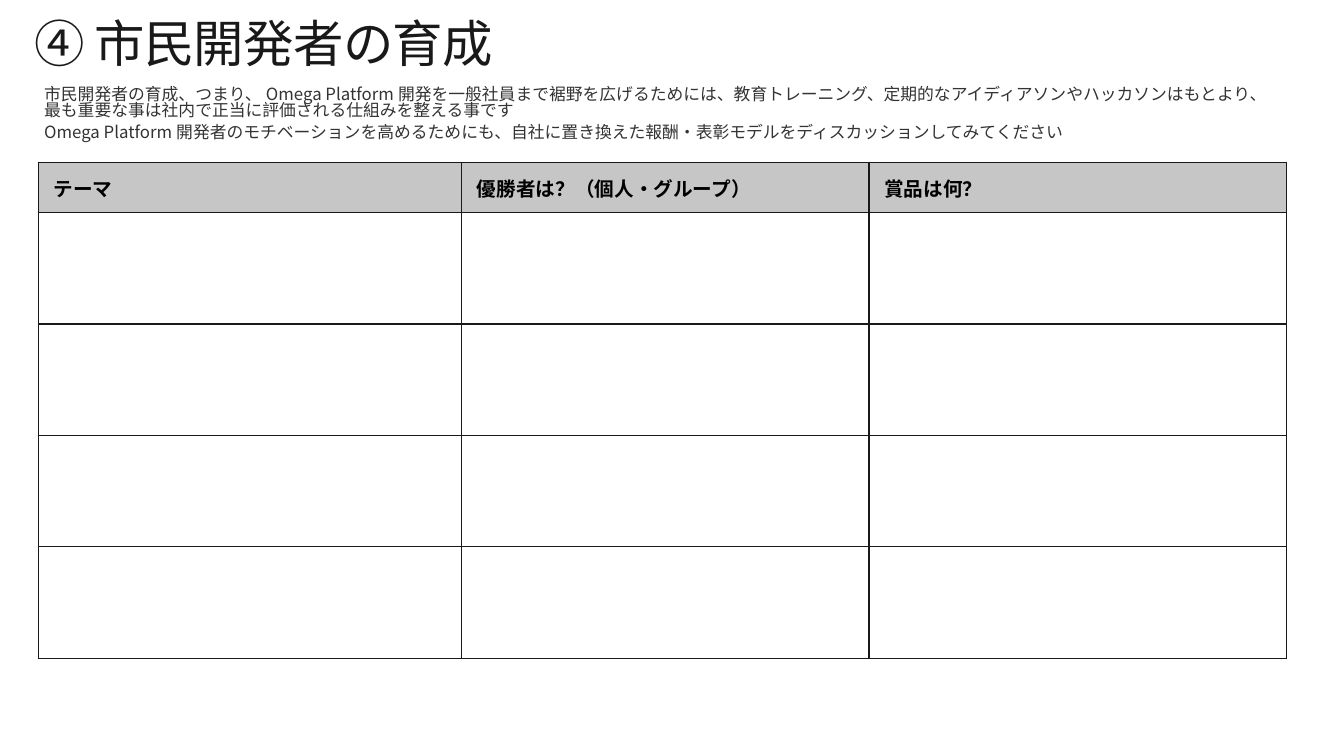
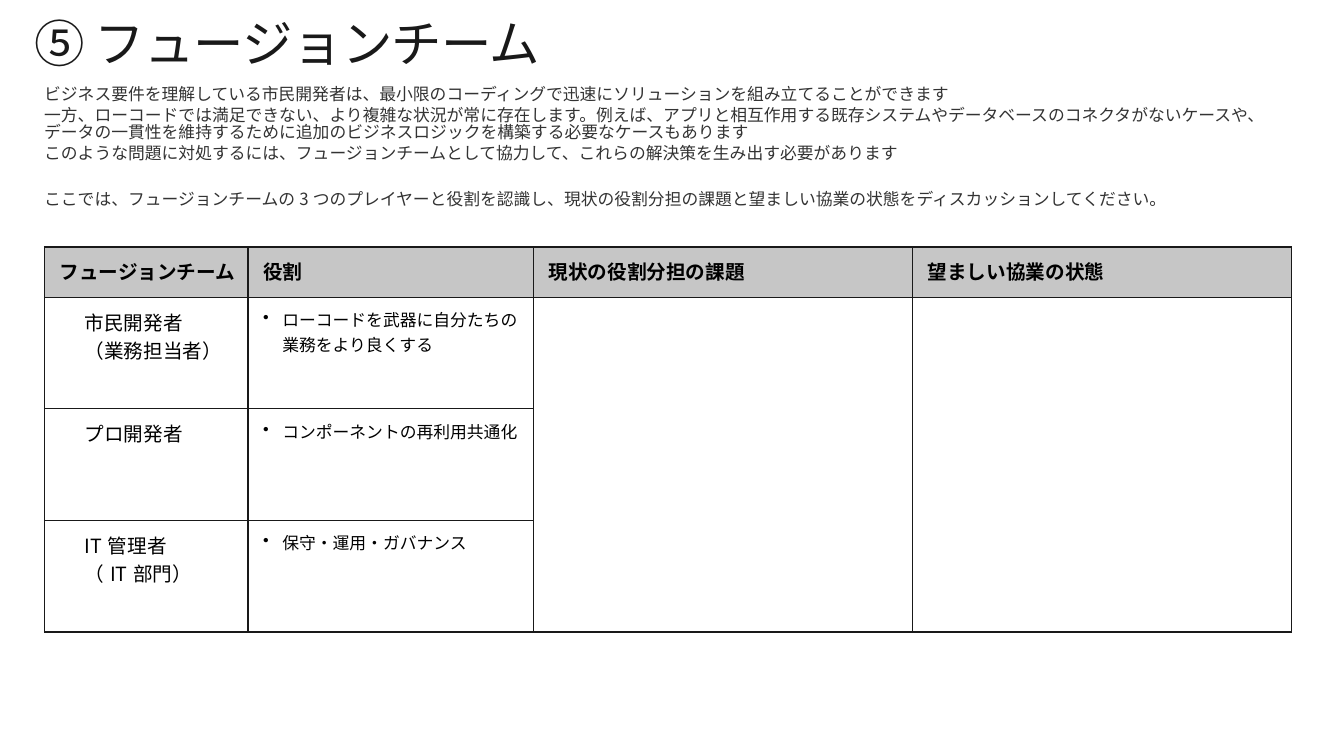
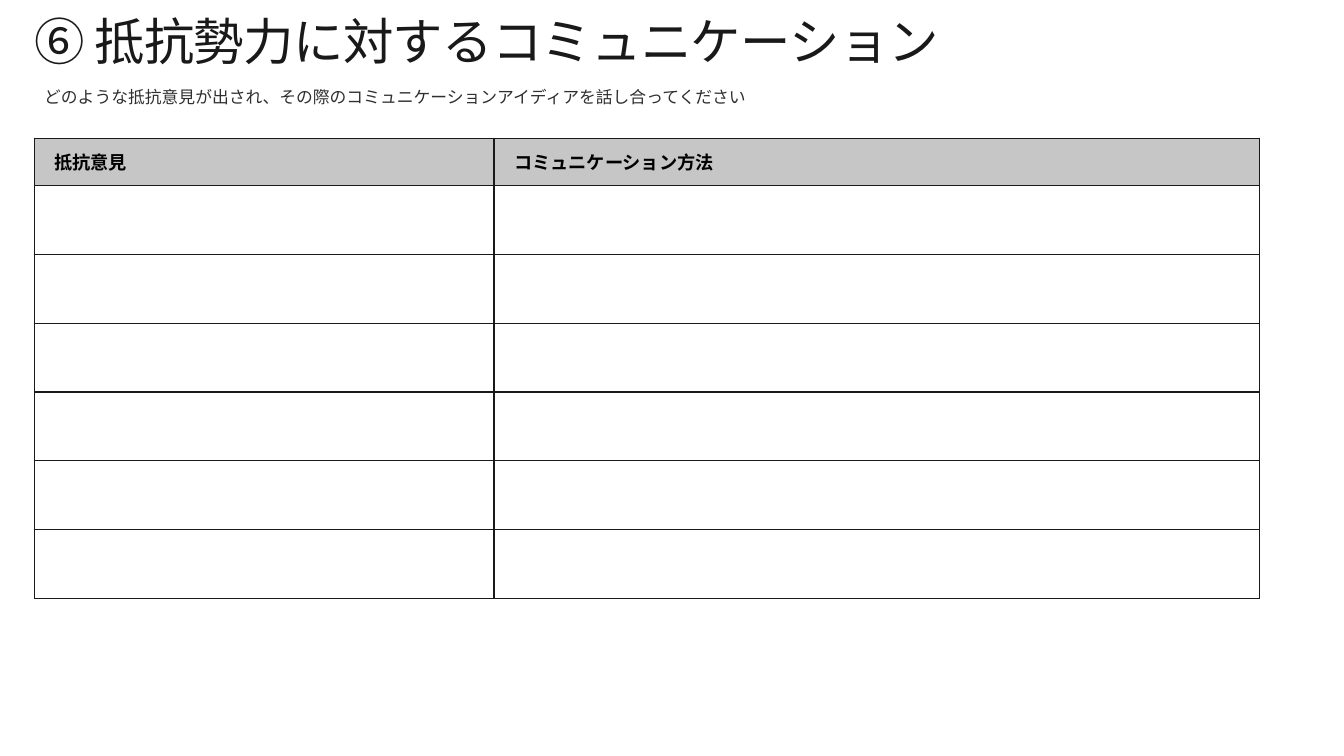
from lxml.etree import SubElement
from pptx import Presentation
from pptx.dml.color import RGBColor
from pptx.enum.text import MSO_ANCHOR
from pptx.oxml.ns import qn
from pptx.util import Inches, Pt

FONT = "Noto Sans CJK JP"
COLORS = {"ink": "191919", "body": "333333", "soft": "2F2F2F",
          "black": "000000", "head": "C6C6C6"}
TIGHT = 0.83
INTRO_GAP = 3.3
HEAD_INSETS = (0.15, 0.1, 0.1, 0.1)
LABEL_INSETS = (0.4, 0.1, 0.1, 0.1)


def color(name):
    """Return the named palette colour."""
    return RGBColor.from_string(COLORS[name])


def add_text(p, text, size, ink, bold=False):
    """Add one styled run to a paragraph."""
    r = p.add_run()
    r.text = text
    r.font.size, r.font.bold, r.font.name = Pt(size), bold, FONT
    r.font.color.rgb = color(ink)
    SubElement(r.font._element, qn("a:ea"), typeface=FONT)
    return r


def paragraphs(tf, texts):
    """Yield a paragraph of the frame for each text."""
    for i, text in enumerate(texts):
        yield (tf.add_paragraph() if i else tf.paragraphs[0]), text


def add_box(s, box, inset):
    """Add a wrapping text box and return its frame."""
    tf = s.shapes.add_textbox(*map(Inches, box)).text_frame
    tf.word_wrap = True
    tf.margin_left = tf.margin_top = tf.margin_right = tf.margin_bottom = Inches(inset)
    return tf


def add_title(s, text, top=0.22):
    """Add the large slide title."""
    p = add_box(s, (0.34, top, 12.47, 0.61), 0).paragraphs[0]
    p.line_spacing = TIGHT
    r = add_text(p, text, 36, "ink")
    r.font._element.set("spc", "-50")


def add_intro(s, box, texts, ink="body", last_gap=0):
    """Add the introduction, with an optional gap before its last paragraph."""
    tf = add_box(s, box, 0.1)
    for p, text in paragraphs(tf, texts):
        p.line_spacing, p.space_after = TIGHT, Pt(INTRO_GAP)
        add_text(p, text, 12, ink)
    if last_gap:
        p.space_before = Pt(last_gap)


def set_borders(cell):
    """Draw a one-point line on all four sides of a cell."""
    tc_pr = cell._tc.get_or_add_tcPr()
    for i, side in enumerate(("lnL", "lnR", "lnT", "lnB")):
        ln = SubElement(tc_pr, qn(f"a:{side}"), w=str(Pt(1)))
        fill = SubElement(ln, qn("a:solidFill"))
        SubElement(fill, qn("a:srgbClr"), val=COLORS["ink"])
        tc_pr.insert(i, ln)


def set_bullet(p):
    """Give a paragraph a hanging round bullet."""
    p_pr = p._p.get_or_add_pPr()
    p_pr.set("marL", str(Inches(0.19)))
    p_pr.set("indent", str(Inches(-0.19)))
    SubElement(p_pr, qn("a:buChar"), char="•")


def fill_cell(cell, texts, size, insets, bold=False, bullet=False):
    """Write paragraphs into a cell with the given insets."""
    (cell.margin_left, cell.margin_top,
     cell.margin_right, cell.margin_bottom) = map(Inches, insets)
    for p, text in paragraphs(cell.text_frame, texts):
        if bullet:
            set_bullet(p)
        add_text(p, text, size, "black", bold)


def add_grid(s, box, widths, heads, rows, head_height=0.5, size=14,
             insets=HEAD_INSETS, anchor=MSO_ANCHOR.MIDDLE):
    """Add a ruled worksheet table with a grey header and equal rows."""
    frame = s.shapes.add_table(rows + 1, len(heads), *map(Inches, box))
    table = frame.table
    table.horz_banding = False
    for col, width in zip(table.columns, widths):
        col.width = Inches(width)
    for i, row in enumerate(table.rows):
        row.height = Inches((box[3] - head_height) / rows if i else head_height)
        for cell in row.cells:
            cell.fill.background()
            set_borders(cell)
    for cell, head in zip(table.rows[0].cells, heads):
        cell.fill.solid()
        cell.fill.fore_color.rgb = color("head")
        cell.vertical_anchor = anchor
        fill_cell(cell, [head], size, insets, bold=True)
    return table


def citizen_slide(s):
    """Build the reward worksheet for citizen developers."""
    add_grid(s, (0.38, 1.61, 12.37, 4.92), (4.2, 4.04, 4.14),
             ("テーマ", "優勝者は？（個人・グループ）", "賞品は何？"), 4)
    add_intro(s, (0.34, 0.76, 12.37, 0.85), (
        "市民開発者の育成、つまり、Omega Platform開発を一般社員まで裾野を広げるためには、"
        "教育トレーニング、定期的なアイディアソンやハッカソンはもとより、"
        "最も重要な事は社内で正当に評価される仕組みを整える事です",
        "Omega Platform開発者のモチベーションを高めるためにも、"
        "自社に置き換えた報酬・表彰モデルをディスカッションしてみてください"))
    add_title(s, "④ 市民開発者の育成")


def fusion_slide(s):
    """Build the fusion team worksheet."""
    table = add_grid(s, (0.44, 2.45, 12.37, 3.82), (2.02, 2.83, 3.76, 3.76),
                     ("フュージョンチーム", "役割", "現状の役割分担の課題", "望ましい協業の状態"),
                     3, anchor=MSO_ANCHOR.TOP)
    players = ((("市民開発者", "（業務担当者）"), "ローコードを武器に自分たちの業務をより良くする"),
               (("プロ開発者",), "コンポーネントの再利用共通化"),
               (("IT管理者", "（IT部門）"), "保守・運用・ガバナンス"))
    for i, (names, role) in enumerate(players, 1):
        fill_cell(table.cell(i, 0), names, 14, LABEL_INSETS)
        fill_cell(table.cell(i, 1), [role], 12, HEAD_INSETS, bullet=True)
    for col in (2, 3):
        table.cell(1, col).merge(table.cell(3, col))
    add_intro(s, (0.34, 0.76, 12.37, 1.58), (
        "ビジネス要件を理解している市民開発者は、最小限のコーディングで迅速にソリューションを組み立てることができます",
        "一方、ローコードでは満足できない、より複雑な状況が常に存在します。"
        "例えば、アプリと相互作用する既存システムやデータベースのコネクタがないケースや、"
        "データの一貫性を維持するために追加のビジネスロジックを構築する必要なケースもあります",
        "このような問題に対処するには、フュージョンチームとして協力して、これらの解決策を生み出す必要があります",
        "ここでは、フュージョンチームの3つのプレイヤーと役割を認識し、"
        "現状の役割分担の課題と望ましい協業の状態をディスカッションしてください。"),
        last_gap=17.7)
    add_title(s, "⑤ フュージョンチーム")


def resistance_slide(s):
    """Build the worksheet on answering resistance."""
    add_grid(s, (0.34, 1.37, 12.15, 4.57), (4.56, 7.59),
             ("抵抗意見", "コミュニケーション方法"), 6,
             head_height=0.47, size=13, insets=(0.2, 0.04, 0.15, 0.04))
    add_intro(s, (0.34, 0.81, 12.37, 0.4),
              ["どのような抵抗意見が出され、その際のコミュニケーションアイディアを話し合ってください"],
              ink="soft")
    add_title(s, "⑥ 抵抗勢力に対するコミュニケーション", top=0.2)


def main():
    """Build and save the deck."""
    prs = Presentation()
    prs.slide_width, prs.slide_height = Inches(13.33), Inches(7.5)
    for build in (citizen_slide, fusion_slide, resistance_slide):
        build(prs.slides.add_slide(prs.slide_layouts[6]))
    prs.save("out.pptx")


if __name__ == "__main__":
    main()
